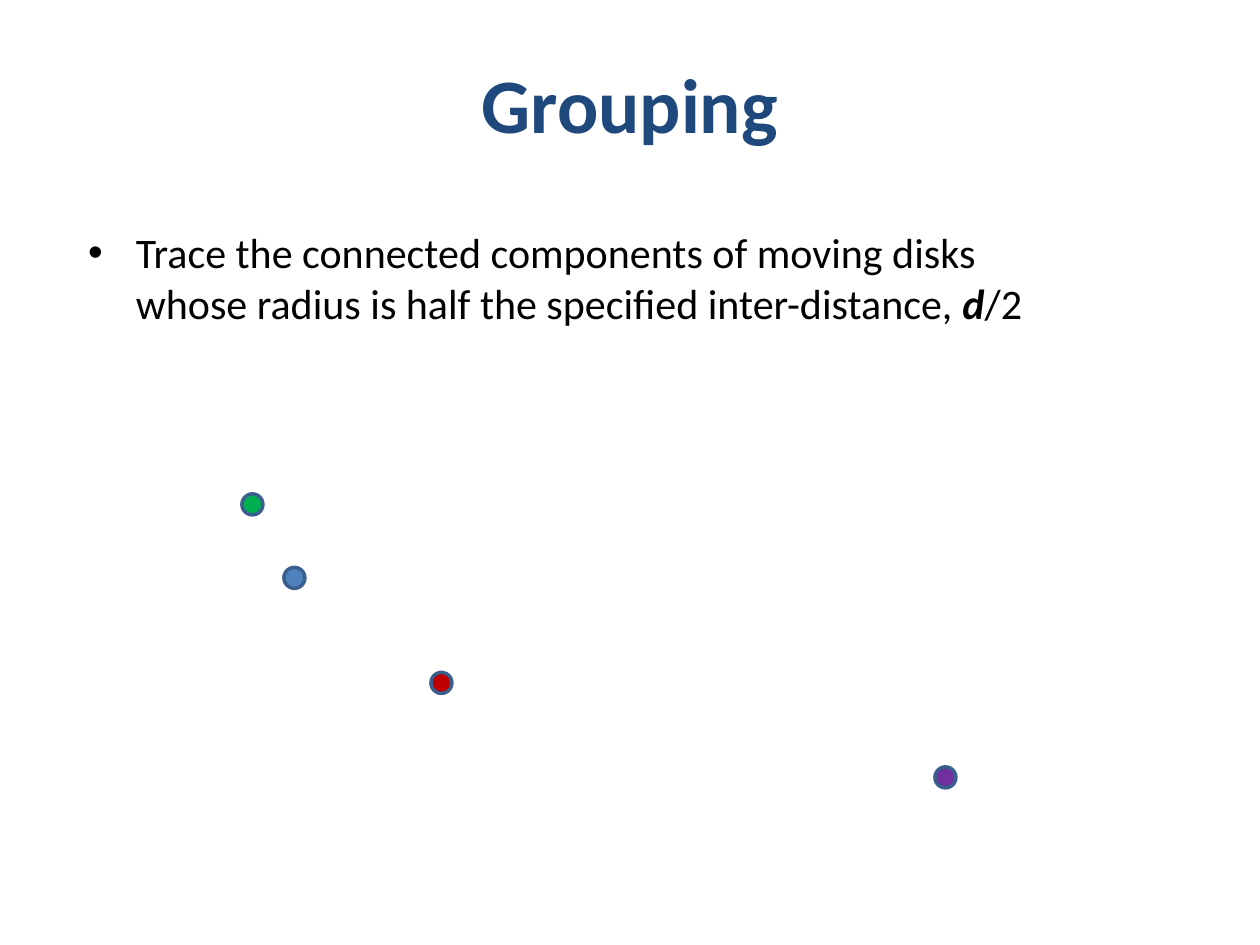
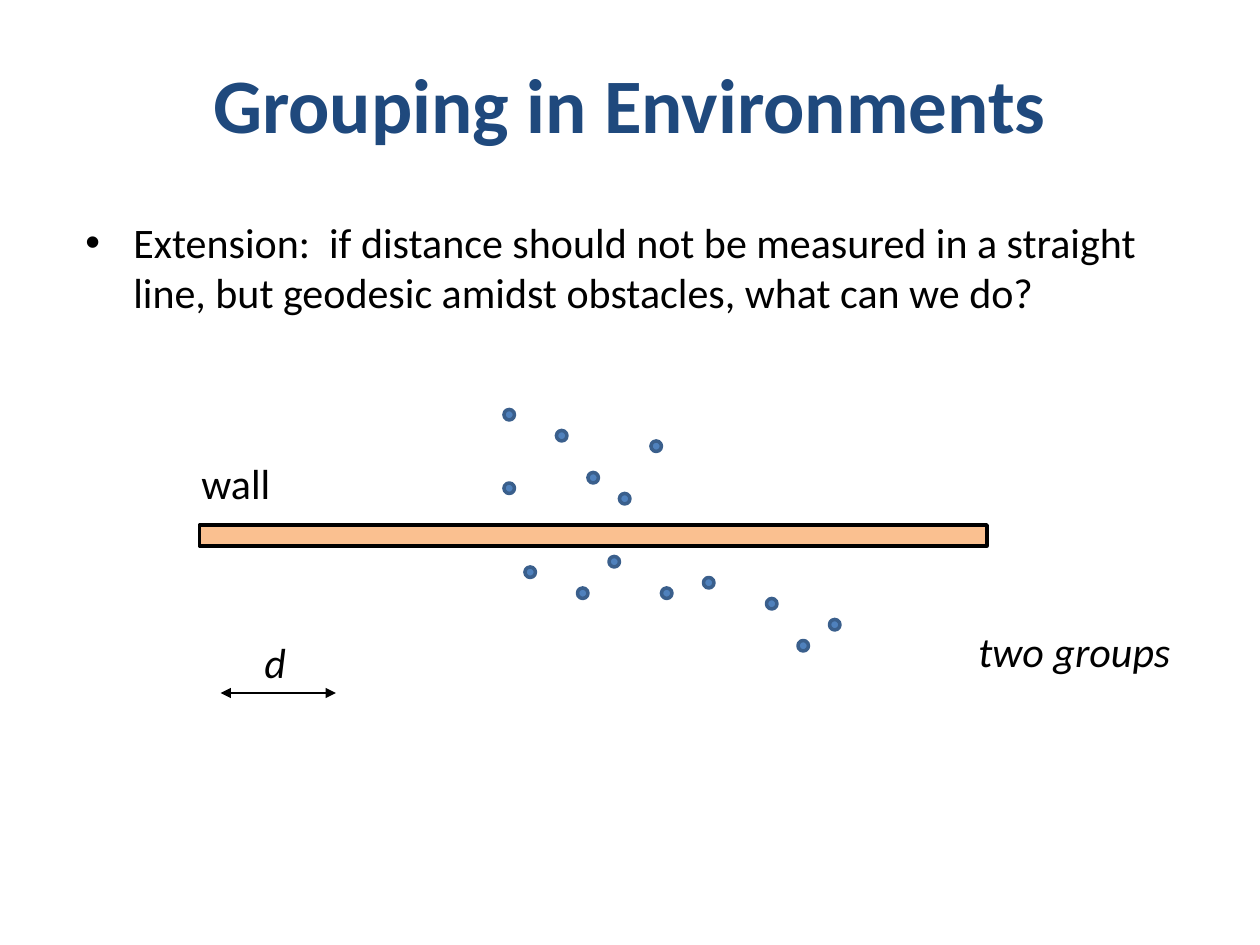
from lxml import etree
from pptx import Presentation
from pptx.dml.color import RGBColor
from pptx.enum.shapes import MSO_CONNECTOR, MSO_SHAPE
from pptx.enum.text import MSO_ANCHOR, PP_ALIGN
from pptx.oxml.ns import qn
from pptx.util import Inches, Pt

OVAL, RECT = MSO_SHAPE.OVAL, MSO_SHAPE.RECTANGLE
STRAIGHT = MSO_CONNECTOR.STRAIGHT
MIDDLE, TOP = MSO_ANCHOR.MIDDLE, MSO_ANCHOR.TOP
CENTER = PP_ALIGN.CENTER

FONT = "Calibri"
NAVY, BLACK, WHITE = "1F497D", "000000", "FFFFFF"
BLUE, EDGE, PEACH = "4F81BD", "3A5F8C", "FAC090"
GREEN, RED, PURPLE = "00B050", "C00000", "7030A0"
STEP = 1 / 12  # drawing grid, inches


def color(code):
    return RGBColor.from_string(code)


def style(run, size=24, ink=BLACK, bold=False, italic=False):
    font = run.font
    font.name, font.size = FONT, Pt(size)
    font.bold, font.italic = bold, italic
    font.color.rgb = color(ink)


def grid(box, col, row):
    """Turn a grid place inside a box into slide lengths."""
    left, top = box
    return Inches(left + col * STEP), Inches(top + row * STEP)


def add_slide(deck, text):
    slide = deck.slides.add_slide(deck.slide_layouts[5])
    slide.background.fill.solid()
    slide.background.fill.fore_color.rgb = color(WHITE)
    title = slide.shapes.title
    title.left, title.top = Inches(0.5), Inches(0.3)
    title.width, title.height = Inches(9), Inches(1.03)
    frame = title.text_frame
    frame.text = text
    frame.vertical_anchor = MIDDLE
    frame.paragraphs[0].alignment = CENTER
    style(frame.paragraphs[0].runs[0], 44, NAVY, bold=True)
    return slide


def add_bullet(slide, box, text):
    """Add a text box with one bullet and return its paragraph."""
    frame = slide.shapes.add_textbox(*map(Inches, box)).text_frame
    frame.word_wrap = True
    frame.vertical_anchor = TOP
    para = frame.paragraphs[0]
    para.text = text
    props = para._p.get_or_add_pPr()
    props.set("marL", str(Inches(0.38)))
    props.set("indent", str(Inches(-0.38)))
    etree.SubElement(props, qn("a:buFont")).set("typeface", "Arial")
    etree.SubElement(props, qn("a:buChar")).set("char", "•")
    for run in para.runs:
        style(run)
    return para


def add_form(slide, kind, box, place, size, fill, edge):
    cols, rows = size
    form = slide.shapes.add_shape(kind, *grid(box, *place),
                                  Inches(cols * STEP), Inches(rows * STEP))
    form.shadow.inherit = False
    form.fill.solid()
    form.fill.fore_color.rgb = color(fill)
    form.line.color.rgb = color(edge)
    form.line.width = Pt(2)


def add_label(slide, box, place, width, text, italic=False):
    label = slide.shapes.add_textbox(*grid(box, *place), Inches(width), Inches(0.5))
    frame = label.text_frame
    frame.word_wrap = False
    frame.text = text
    style(frame.paragraphs[0].runs[0], italic=italic)


def add_span(slide, box, start, end):
    """Draw a line with an arrowhead at both ends."""
    span = slide.shapes.add_connector(STRAIGHT, *grid(box, *start), *grid(box, *end))
    span.line.color.rgb = color(BLACK)
    span.line.width = Pt(1.5)
    edge = span.line._get_or_add_ln()
    for tip in ("a:headEnd", "a:tailEnd"):
        etree.SubElement(edge, qn(tip)).set("type", "triangle")
    etree.SubElement(span._element.spPr, qn("a:effectLst"))


def draw_disks(slide, box):
    disks = [((4, 7), BLUE), ((18, 17), RED), ((0, 0), GREEN), ((66, 26), PURPLE)]
    for place, fill in disks:
        add_form(slide, OVAL, box, place, (2, 2), fill, EDGE)


def draw_scene(slide, box):
    # Wall with the points above and below it
    add_form(slide, RECT, box, (1, 11), (75, 2), PEACH, BLACK)
    above = [(41, 8), (35, 2), (38, 6), (44, 3), (30, 0), (30, 7)]
    below = [(32, 15), (40, 14), (45, 17), (37, 17),
             (49, 16), (55, 18), (58, 22), (61, 20)]
    for place in above + below:
        add_form(slide, OVAL, box, place, (1, 1), BLUE, EDGE)
    # Distance and labels
    add_span(slide, box, (3, 27), (14, 27))
    add_label(slide, box, (6, 21), 0.38, "d", italic=True)
    add_label(slide, box, (74, 20), 1.73, "two groups", italic=True)
    add_label(slide, box, (0, 4), 0.75, "wall")


def build_disks(deck):
    slide = add_slide(deck, "Grouping")
    para = add_bullet(slide, (0.6, 1.75, 8.48, 1.5),
                      "Trace the connected components of moving disks \v"
                      "whose radius is half the specified inter-distance, ")
    for text, strong in (("d", True), ("/2", False)):
        run = para.add_run()
        run.text = text
        style(run, bold=strong, italic=strong)
    draw_disks(slide, (1.92, 3.92))


def build_walls(deck):
    slide = add_slide(deck, "Grouping in Environments")
    add_bullet(slide, (0.58, 1.67, 9, 1.17),
               "Extension:  if distance should not be measured in a straight "
               "line, but geodesic amidst obstacles, what can we do?")
    draw_scene(slide, (1.5, 3.25))


def main():
    deck = Presentation()
    deck.slide_width, deck.slide_height = Inches(10), Inches(7.5)
    build_disks(deck)
    build_walls(deck)
    deck.save("out.pptx")


if __name__ == "__main__":
    main()
